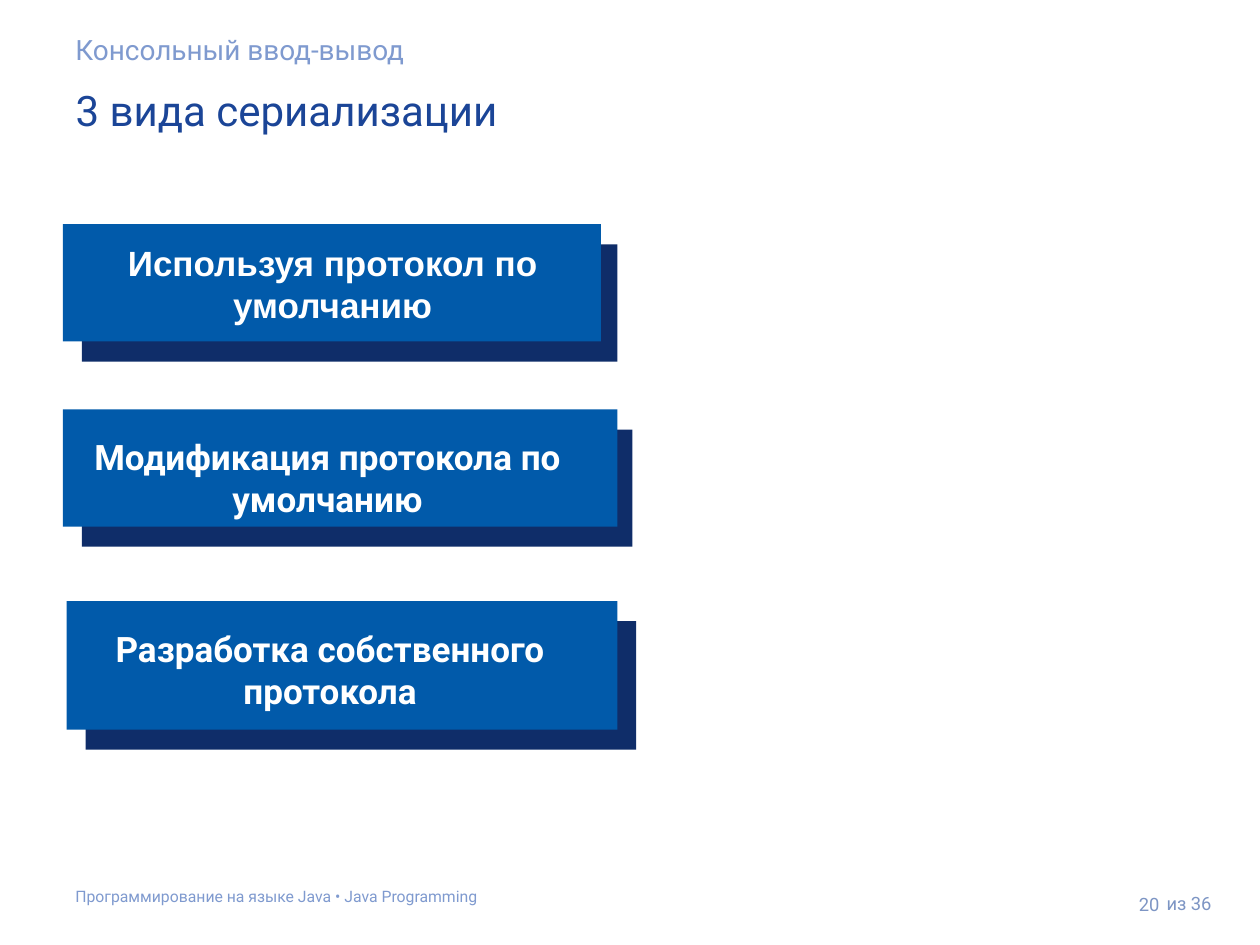
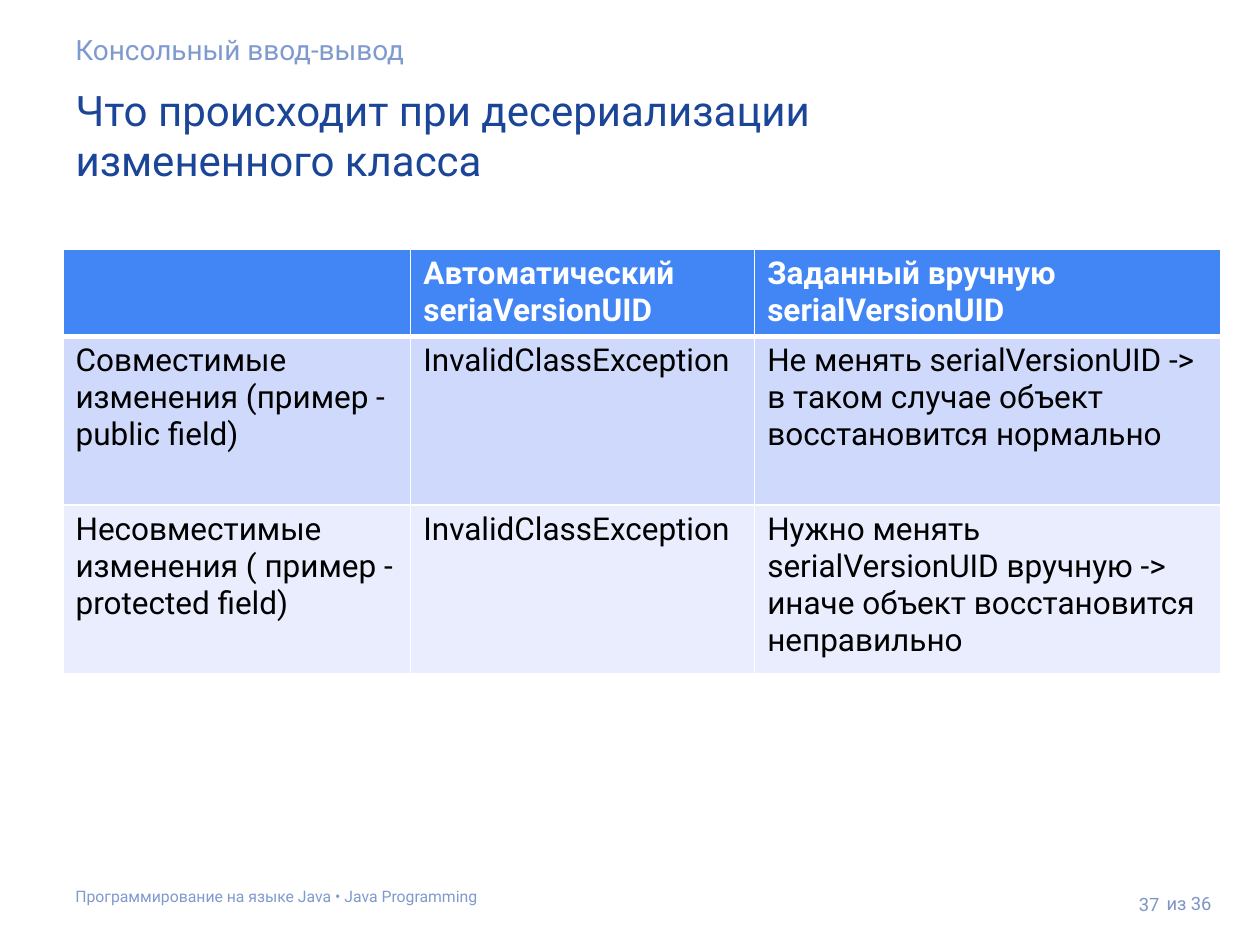
from dataclasses import dataclass

from lxml import etree
from pptx import Presentation
from pptx.dml.color import RGBColor
from pptx.enum.shapes import MSO_SHAPE
from pptx.enum.text import MSO_ANCHOR, MSO_AUTO_SIZE, PP_ALIGN
from pptx.oxml.ns import qn
from pptx.util import Inches, Pt

RECT = MSO_SHAPE.RECTANGLE
TOP, MID = MSO_ANCHOR.TOP, MSO_ANCHOR.MIDDLE
LEFT, MIDDLE, RIGHT = PP_ALIGN.LEFT, PP_ALIGN.CENTER, PP_ALIGN.RIGHT
FIXED = MSO_AUTO_SIZE.NONE

# Content
TOPIC = "Консольный ввод-вывод"
COURSE = "Программирование на языке Java • Java Programming"
TOTAL = "из 36"

KINDS = {
    "page": "20",
    "title": "3 вида сериализации",
    # text, font, face box, shade width, label box
    "cards": [
        ("Используя протокол по умолчанию", "Arial",
         (0.5, 1.78, 4.27, 0.93), 4.25, (0.73, 1.87, 3.82, 0.77)),
        ("Модификация протокола по умолчанию", "Roboto",
         (0.5, 3.25, 4.4, 0.93), 4.37, (0.63, 3.41, 3.94, 0.77)),
        ("Разработка собственного протокола", "Roboto",
         (0.53, 4.77, 4.37, 1.02), 4.37, (0.65, 4.93, 3.94, 0.77)),
    ],
}

CHANGES = {
    "page": "37",
    "title": "Что происходит при десериализации\nизмененного класса",
    "rows": [
        ("", "Автоматический seriaVersionUID",
         "Заданный вручную\nserialVersionUID"),
        ("Совместимые изменения (пример - public field)",
         "InvalidClassException",
         "Не менять serialVersionUID -> в таком случае объект "
         "восстановится нормально"),
        ("Несовместимые изменения ( пример - protected field)",
         "InvalidClassException",
         "Нужно менять serialVersionUID вручную -> иначе объект "
         "восстановится неправильно"),
    ],
    "widths": (2.76, 2.73, 3.7),
    "heights": (0.69, 1.34, 1.34),
}


# Theme
@dataclass(frozen=True)
class Theme:
    font: str = "Roboto"
    title: str = "1B4597"
    soft: str = "7F9ACF"
    page: str = "7D95C4"
    face: str = "015AAA"
    shade: str = "0F2D69"
    white: str = "FFFFFF"
    black: str = "000000"
    head: str = "4285F4"
    bands: tuple = ("CFD9FB", "E9EDFD")
    title_size: float = 24
    topic_size: float = 16
    card_size: float = 20
    cell_size: float = 18
    page_size: float = 10.5
    foot_size: float = 9


T = Theme()
EDGE = 0.5
DROP = (0.15, 0.16)


# Helpers
def rgb(code):
    return RGBColor.from_string(code)


def inches(box):
    return [Inches(n) for n in box]


def style(frame, size, color, font=T.font, bold=False, align=LEFT):
    """Format every paragraph of a text frame."""
    look = {"name": font, "size": Pt(size), "bold": bold}
    for para in frame.paragraphs:
        para.alignment = align
        for key, value in look.items():
            setattr(para.font, key, value)
        para.font.color.rgb = rgb(color)


def write(frame, text, size, color, anchor=TOP, pad=0.1, **look):
    """Fill a text frame; pad is its top and bottom inset."""
    frame.text = text
    form = {
        "word_wrap": True, "auto_size": FIXED, "vertical_anchor": anchor,
        "margin_left": Inches(0.1), "margin_right": Inches(0.1),
        "margin_top": Inches(pad), "margin_bottom": Inches(pad),
    }
    for key, value in form.items():
        setattr(frame, key, value)
    style(frame, size, color, **look)


def label(slide, box, *args, **look):
    write(slide.shapes.add_textbox(*inches(box)).text_frame, *args, **look)


def block(slide, box, color):
    shape = slide.shapes.add_shape(RECT, *inches(box))
    shape.shadow.inherit = False
    shape.fill.solid()
    shape.fill.fore_color.rgb = rgb(color)
    shape.line.fill.background()


def border(cell, low):
    """White cell edges, with a bottom edge low points wide."""
    props = cell._tc.get_or_add_tcPr()
    for spot, (side, width) in enumerate(
            (("L", 1), ("R", 1), ("T", 1), ("B", low))):
        line = etree.Element(qn(f"a:ln{side}"), w=str(Pt(width)))
        fill = etree.SubElement(line, qn("a:solidFill"))
        etree.SubElement(fill, qn("a:srgbClr"), val=T.white)
        props.insert(spot, line)


# Shared frame of a slide
def start(deck, data):
    slide = deck.slides.add_slide(deck.slide_layouts[5])
    title = slide.shapes.title
    lines = data["title"].count("\n") + 1
    box = inches((EDGE, 0.57, 9.19, 0.21 + 0.4 * lines))
    for key, value in zip(("left", "top", "width", "height"), box):
        setattr(title, key, value)
    write(title.text_frame, data["title"], T.title_size, T.title)
    label(slide, (EDGE, 6.94, 9, 0.35), COURSE, T.foot_size, T.soft)
    label(slide, (9.16, 6.97, 0.69, 0.4), TOTAL, T.page_size, T.page,
          anchor=MID, pad=0.05)
    label(slide, (8.7, 6.89, 0.6, 0.57), data["page"], T.page_size, T.page,
          anchor=MID, align=RIGHT)
    label(slide, (EDGE, 0.16, 9.19, 0.47), TOPIC, T.topic_size, T.soft)
    return slide


# Cards with a solid offset shade
def kinds(deck):
    slide = start(deck, KINDS)
    for text, font, face, wide, spot in KINDS["cards"]:
        left, top, _, high = face
        block(slide, (left + DROP[0], top + DROP[1], wide, high), T.shade)
        block(slide, face, T.face)
        label(slide, spot, text, T.card_size, T.white, pad=0.05,
              font=font, bold=True, align=MIDDLE)


# Table of class changes
def changes(deck):
    slide = start(deck, CHANGES)
    rows, wide, high = (CHANGES[k] for k in ("rows", "widths", "heights"))
    box = inches((EDGE, 1.98, sum(wide), sum(high)))
    table = slide.shapes.add_table(len(rows), len(wide), *box).table
    table.horz_banding = False
    for col, size in zip(table.columns, wide):
        col.width = Inches(size)
    for r, (texts, size) in enumerate(zip(rows, high)):
        table.rows[r].height = Inches(size)
        head = r == 0
        for c, text in enumerate(texts):
            cell = table.cell(r, c)
            cell.text = text
            cell.fill.solid()
            cell.fill.fore_color.rgb = rgb(
                T.head if head else T.bands[(r - 1) % 2])
            style(cell.text_frame, T.cell_size,
                  T.white if head else T.black, bold=head)
            border(cell, 3 if head else 1)


def main():
    deck = Presentation()
    deck.slide_width, deck.slide_height = Inches(10), Inches(7.5)
    kinds(deck)
    changes(deck)
    deck.save("out.pptx")


if __name__ == "__main__":
    main()
